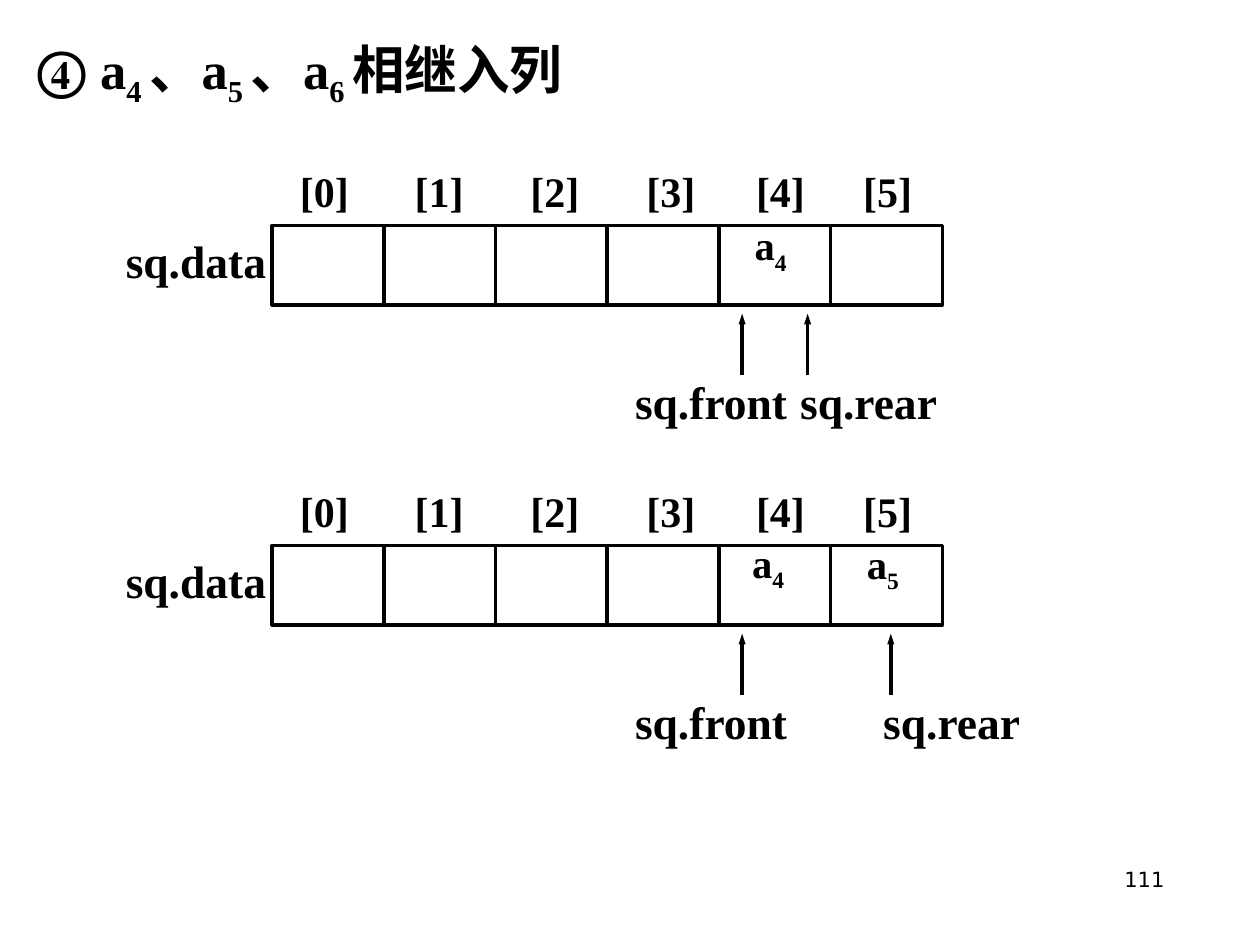
import pptx
import pptx.util
import pptx.dml.color
import pptx.enum.shapes
import pptx.enum.text
import pptx.oxml.ns
from lxml import etree

Inches = pptx.util.Inches
Pt = pptx.util.Pt
ALIGN = pptx.enum.text.PP_ALIGN
TOP = pptx.enum.text.MSO_ANCHOR.TOP
BLACK = pptx.dml.color.RGBColor(0, 0, 0)
WHITE = pptx.dml.color.RGBColor(255, 255, 255)
SERIF = "Times New Roman"


def fill_text(frame, parts, size, name=SERIF, bold=True, align=ALIGN.LEFT):
    """Write the parts as runs; every second part is a subscript."""
    para = frame.paragraphs[0]
    para.alignment = align
    for i, part in enumerate(parts):
        run = para.add_run()
        run.text = part
        run.font.name = name
        run.font.size = Pt(size)
        run.font.bold = bold
        run.font.color.rgb = BLACK
        if i % 2:
            run._r.get_or_add_rPr().set("baseline", "-25000")
    return para


def add_label(left, top, width, height, parts, size, pad=0, **style):
    box = slide.shapes.add_textbox(
        Inches(left), Inches(top), Inches(width), Inches(height))
    frame = box.text_frame
    frame.word_wrap = True
    frame.margin_left = frame.margin_right = Inches(pad)
    frame.margin_top = frame.margin_bottom = Inches(pad / 2)
    return fill_text(frame, parts, size, **style)


deck = pptx.Presentation()
deck.slide_width = Inches(10)
deck.slide_height = Inches(7.5)
slide = deck.slides.add_slide(deck.slide_layouts[5])

# Title
title = slide.shapes.title
title.left, title.top = Inches(0.2), Inches(0.24)
title.width, title.height = Inches(9.61), Inches(6.66)
title.fill.solid()
title.fill.fore_color.rgb = WHITE
title.text_frame.vertical_anchor = TOP
title.text_frame.word_wrap = True
fill_text(title.text_frame,
          ["④ a", "4 ", "、a", "5 ", "、a", "6 ", "相继入列"], 30)

# Page number
add_label(7.17, 6.83, 2.17, 0.52, ["111"], 12, pad=0.1,
          name="DejaVu Sans", bold=False, align=ALIGN.RIGHT)

# Two queue states: top, x of the rear arrow, stored items (left, drop, index)
STATES = [
    (1.31, 6.41, [(5.99, 0.48, "4")]),
    (3.85, 7.07, [(5.97, 0.46, "4"), (6.88, 0.47, "5")]),
]
MARKS = [2.38, 3.29, 4.21, 5.13, 6, 6.85]
LEFT, SPAN = 2.16, 5.32
CELL = SPAN / len(MARKS)

for top, rear, items in STATES:
    add_label(0.9, top + 0.49, 1.5, 0.54, ["sq.data"], 26, pad=0.1)

    # Array cells with their indices
    for i, mark in enumerate(MARKS):
        cell = slide.shapes.add_shape(
            pptx.enum.shapes.MSO_SHAPE.RECTANGLE,
            Inches(LEFT + i * CELL), Inches(top + 0.48),
            Inches(CELL), Inches(0.63))
        cell.shadow.inherit = False
        cell.fill.solid()
        cell.fill.fore_color.rgb = WHITE
        cell.line.color.rgb = BLACK
        cell.line.width = Pt(2)
        add_label(mark, top, 0.55, 0.46, [f"[{i}]"], 24, align=ALIGN.JUSTIFY)

    # Stored items
    for left, drop, index in items:
        para = add_label(left, top + drop, 0.63, 0.46, ["a", index], 23.2,
                         align=ALIGN.JUSTIFY)
        para.line_spacing = 0.8

    # Front and rear pointers
    for x, left, width, word in [(5.89, 5.04, 1.26, "sq.front"),
                                 (rear, rear - 0.06, 1.18, "sq.rear")]:
        arrow = slide.shapes.add_connector(
            pptx.enum.shapes.MSO_CONNECTOR.STRAIGHT,
            Inches(x), Inches(top + 1.67), Inches(x), Inches(top + 1.18))
        arrow.line.color.rgb = BLACK
        arrow.line.width = Pt(2)
        etree.SubElement(arrow.line._get_or_add_ln(),
                         pptx.oxml.ns.qn("a:tailEnd"),
                         type="triangle", w="sm", len="med")
        etree.SubElement(arrow._element.spPr, pptx.oxml.ns.qn("a:effectLst"))
        add_label(left, top + 1.66, width, 0.53, [word], 26,
                  align=ALIGN.JUSTIFY)

deck.save("out.pptx")
